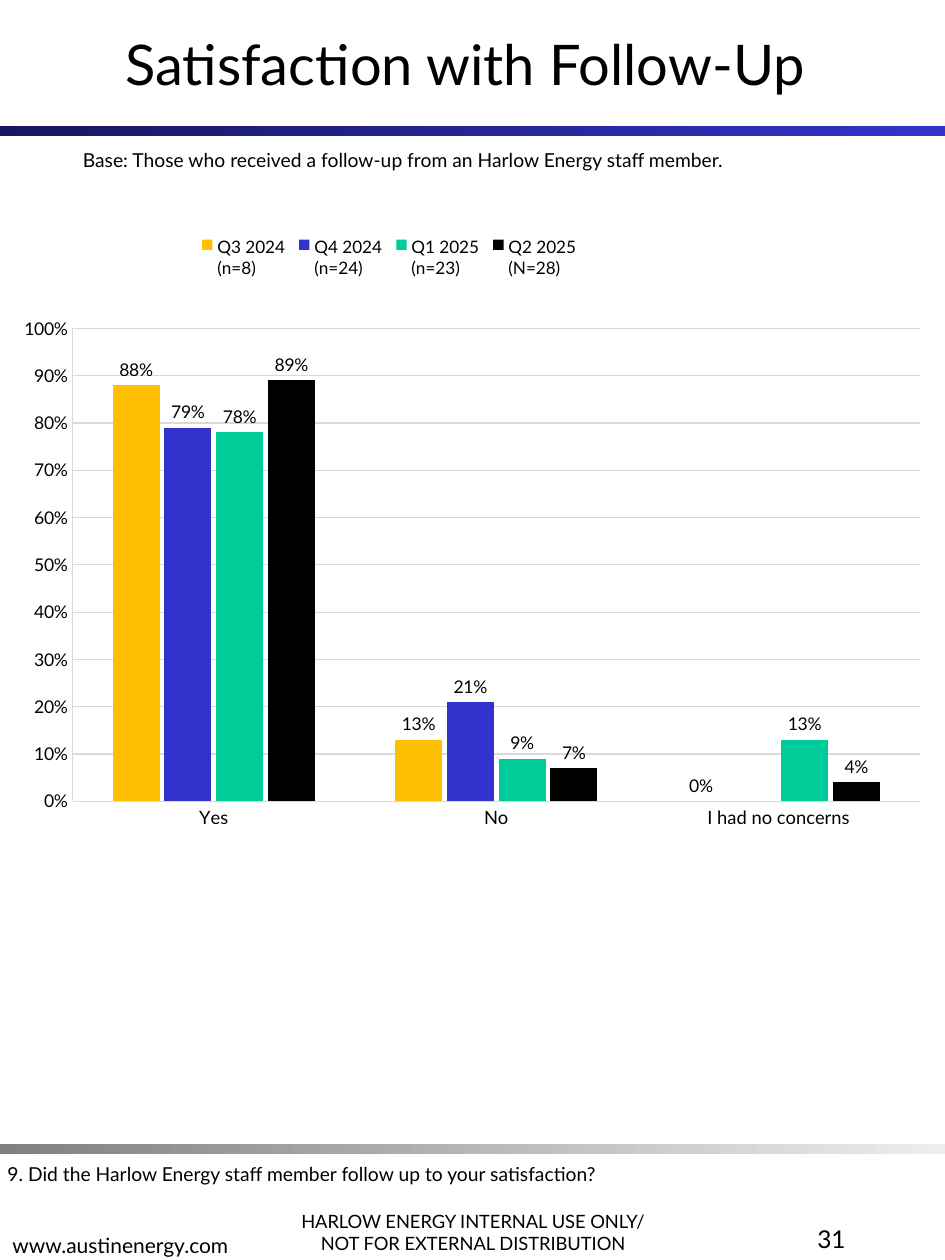
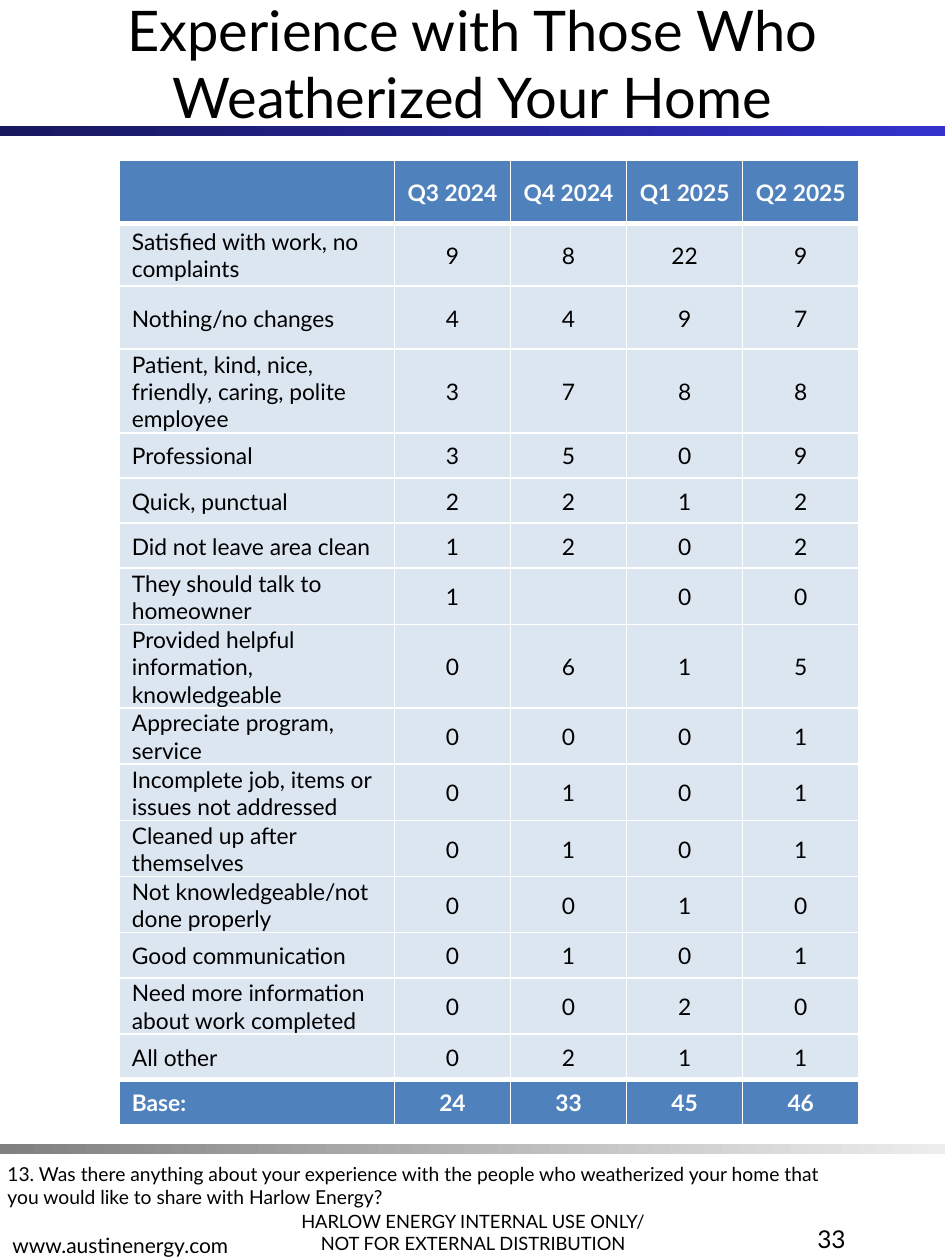
from dataclasses import dataclass

from lxml.etree import SubElement
from pptx import Presentation
from pptx.chart.data import CategoryChartData
from pptx.dml.color import RGBColor
from pptx.enum.chart import XL_CHART_TYPE, XL_LABEL_POSITION, XL_LEGEND_POSITION, XL_TICK_MARK
from pptx.enum.shapes import MSO_SHAPE
from pptx.enum.text import MSO_ANCHOR, PP_ALIGN
from pptx.oxml import parse_xml
from pptx.oxml.ns import nsdecls, qn
from pptx.presentation import Presentation as Deck
from pptx.slide import Slide
from pptx.table import _Cell as Cell
from pptx.util import Cm, Pt

FONT = "Lato"
COLORS = {
    "text": "000000",
    "white": "FFFFFF",
    "navy": "17175E",
    "blue": "3333CC",
    "dark_gray": "808080",
    "light_gray": "EDEDED",
    "grid": "D9D9D9",
    "header": "4F81BD",
    "row": "DCE6F1",
    "q3_2024": "FFC003",
    "q4_2024": "3233CC",
    "q1_2025": "00CC99",
    "q2_2025": "000000",
}


@dataclass(frozen=True)
class Band:
    top: float
    start: str
    end: str


@dataclass(frozen=True)
class TextSpot:
    """Place, in centimetres, and style of one kind of text."""
    left: float
    top: float
    width: float
    height: float
    size: float
    align: PP_ALIGN = PP_ALIGN.LEFT
    anchor: MSO_ANCHOR = MSO_ANCHOR.TOP


@dataclass(frozen=True)
class Quarter:
    name: str
    values: tuple
    color: str


BANDS = (Band(2.54, "navy", "blue"), Band(23.06, "dark_gray", "light_gray"))

TITLE = TextSpot(0, 0, 19.05, 2.54, 32, PP_ALIGN.CENTER, MSO_ANCHOR.MIDDLE)
NOTICE = TextSpot(5.49, 23.7, 8.1, 1.7, 10.5, PP_ALIGN.CENTER, MSO_ANCHOR.BOTTOM)
WEBSITE = TextSpot(0, 23.77, 8.1, 1.7, 12, anchor=MSO_ANCHOR.BOTTOM)
PAGE_NUMBER = TextSpot(13.34, 24.56, 3.96, 0.84, 14, PP_ALIGN.RIGHT)
QUESTION = TextSpot(-0.1, 23.3, 17.4, 0.74, 11)
BASE_NOTE = TextSpot(1.42, 2.87, 16.36, 0.74, 11)

ANSWERS = ("Yes", "No", "I had no concerns")
QUARTERS = (
    Quarter("Q3 2024\n(n=8)", (0.88, 0.13, 0), "q3_2024"),
    Quarter("Q4 2024\n(n=24)", (0.79, 0.21, None), "q4_2024"),
    Quarter("Q1 2025\n(n=23)", (0.78, 0.09, 0.13), "q1_2025"),
    Quarter("Q2 2025\n(N=28)", (0.89, 0.07, 0.04), "q2_2025"),
)

COMMENT_ROWS = (
    ("", "Q3 2024", "Q4 2024", "Q1 2025", "Q2 2025"),
    ("Satisfied with work, no complaints", 9, 8, 22, 9),
    ("Nothing/no changes", 4, 4, 9, 7),
    ("Patient, kind, nice, friendly, caring, polite employee", 3, 7, 8, 8),
    ("Professional", 3, 5, 0, 9),
    ("Quick, punctual", 2, 2, 1, 2),
    ("Did not leave area clean", 1, 2, 0, 2),
    ("They should talk to homeowner", 1, "", 0, 0),
    ("Provided helpful information, knowledgeable", 0, 6, 1, 5),
    ("Appreciate program, service", 0, 0, 0, 1),
    ("Incomplete job, items or issues not addressed", 0, 1, 0, 1),
    ("Cleaned up after themselves", 0, 1, 0, 1),
    ("Not knowledgeable/not done properly", 0, 0, 1, 0),
    ("Good communication", 0, 1, 0, 1),
    ("Need more information about work completed", 0, 0, 2, 0),
    ("All other", 0, 2, 1, 1),
    ("Base:", 24, 33, 45, 46),
)
COLUMN_WIDTHS = (5.54, 2.34, 2.34, 2.34, 2.34)
TALL_ROWS = 4


def rgb(color: str) -> RGBColor:
    return RGBColor.from_string(COLORS[color])


def style_font(font, size: float, color: str = "text", bold: bool = False) -> None:
    font.name = FONT
    font.size = Pt(size)
    font.bold = bold
    font.color.rgb = rgb(color)


def add_text(page: Slide, spot: TextSpot, *lines: str) -> None:
    box = page.shapes.add_textbox(Cm(spot.left), Cm(spot.top), Cm(spot.width), Cm(spot.height))
    frame = box.text_frame
    frame.word_wrap = True
    frame.vertical_anchor = spot.anchor
    frame.text = "\n".join(lines)
    for para in frame.paragraphs:
        para.alignment = spot.align
        style_font(para.font, spot.size)


def add_band(page: Slide, band: Band) -> None:
    shape = page.shapes.add_shape(MSO_SHAPE.RECTANGLE, 0, Cm(band.top), Cm(19.05), Cm(0.2))
    shape.shadow.inherit = False
    shape.line.fill.background()
    shape.fill.gradient()
    shape.fill.gradient_angle = 0
    for stop, color in zip(shape.fill.gradient_stops, (band.start, band.end)):
        stop.color.rgb = rgb(color)


def add_page(deck: Deck, title: str, number: int, question: str) -> Slide:
    """Add a slide with the bands, title and footer that all slides share."""
    page = deck.slides.add_slide(deck.slide_layouts[6])
    for band in BANDS:
        add_band(page, band)
    add_text(page, NOTICE, "HARLOW ENERGY INTERNAL USE ONLY/", "NOT FOR EXTERNAL DISTRIBUTION")
    add_text(page, WEBSITE, "www.austinenergy.com")
    add_text(page, TITLE, title)
    add_text(page, PAGE_NUMBER, str(number))
    add_text(page, QUESTION, question)
    return page


def manual_layout(x: float, y: float, width: float, height: float, inner: bool = False):
    target = '<c:layoutTarget val="inner"/>' if inner else ""
    return parse_xml(
        f'<c:layout {nsdecls("c")}><c:manualLayout>{target}'
        '<c:xMode val="edge"/><c:yMode val="edge"/>'
        f'<c:x val="{x}"/><c:y val="{y}"/><c:w val="{width}"/><c:h val="{height}"/>'
        "</c:manualLayout></c:layout>"
    )


def replace_layout(parent, layout, position: int) -> None:
    for old in parent.findall(qn("c:layout")):
        parent.remove(old)
    parent.insert(position, layout)


def style_axis(axis, size: float, line_width: float) -> None:
    axis.major_tick_mark = axis.minor_tick_mark = XL_TICK_MARK.NONE
    style_font(axis.tick_labels.font, size)
    axis.format.line.color.rgb = rgb("grid")
    axis.format.line.width = Pt(line_width)


def add_satisfaction_chart(page: Slide) -> None:
    data = CategoryChartData(number_format="0%")
    data.categories = ANSWERS
    for quarter in QUARTERS:
        data.add_series(quarter.name, quarter.values)
    chart = page.shapes.add_chart(
        XL_CHART_TYPE.COLUMN_CLUSTERED, Cm(0.15), Cm(4.01), Cm(18.77), Cm(13.06), data
    ).chart
    chart.has_title = False
    style_font(chart.font, 10)

    style_axis(chart.category_axis, 10.5, 0.62)
    value_axis = chart.value_axis
    style_axis(value_axis, 10, 0.41)
    value_axis.minimum_scale, value_axis.maximum_scale = 0, 1
    value_axis.major_unit = 0.1
    value_axis.tick_labels.number_format = "0%"
    value_axis.tick_labels.number_format_is_linked = False
    gridlines = value_axis.major_gridlines.format.line
    gridlines.color.rgb = rgb("grid")
    gridlines.width = Pt(0.62)

    plot = chart.plots[0]
    plot.gap_width, plot.overlap = 170, -10
    plot.vary_by_categories = False
    for series, quarter in zip(plot.series, QUARTERS):
        series.format.fill.solid()
        series.format.fill.fore_color.rgb = rgb(quarter.color)
        labels = series.data_labels
        labels.show_value = True
        labels.position = XL_LABEL_POSITION.OUTSIDE_END
        labels.number_format = "0%"
        labels.number_format_is_linked = False
        style_font(labels.font, 10)

    chart.has_legend = True
    legend = chart.legend
    legend.position = XL_LEGEND_POSITION.TOP
    legend.include_in_layout = False
    style_font(legend.font, 9.8)
    replace_layout(legend._element, manual_layout(0.2, 0.05, 0.42, 0.08), 1)
    plot_area = chart._chartSpace.chart.plotArea
    replace_layout(plot_area, manual_layout(0.07, 0.2, 0.91, 0.73, inner=True), 0)


def add_borders(cell: Cell, top: float, bottom: float) -> None:
    properties = cell._tc.get_or_add_tcPr()
    for side, width in (("L", 1), ("R", 1), ("T", top), ("B", bottom)):
        line = SubElement(properties, qn(f"a:ln{side}"), w=str(Pt(width)))
        fill = SubElement(line, qn("a:solidFill"))
        SubElement(fill, qn("a:srgbClr"), val=COLORS["white"])


def add_comment_table(page: Slide) -> None:
    last = len(COMMENT_ROWS) - 1
    heights = [1.27 if index < TALL_ROWS else 0.91 for index in range(last + 1)]
    table = page.shapes.add_table(
        len(COMMENT_ROWS), len(COLUMN_WIDTHS),
        Cm(2.41), Cm(3.23), Cm(sum(COLUMN_WIDTHS)), Cm(sum(heights)),
    ).table
    table.horz_banding = False
    for column, width in zip(table.columns, COLUMN_WIDTHS):
        column.width = Cm(width)
    for row_index, values in enumerate(COMMENT_ROWS):
        table.rows[row_index].height = Cm(heights[row_index])
        strong = row_index in (0, last)
        top = 3 if row_index in (1, last) else 1
        bottom = 3 if row_index in (0, last - 1) else 1
        for column_index, value in enumerate(values):
            cell = table.cell(row_index, column_index)
            add_borders(cell, top, bottom)
            cell.fill.solid()
            cell.fill.fore_color.rgb = rgb("header" if strong else "row")
            cell.vertical_anchor = MSO_ANCHOR.MIDDLE
            cell.margin_left = Cm(0.03 if column_index else 0.25)
            cell.margin_right = cell.margin_top = Cm(0.03)
            cell.margin_bottom = 0
            cell.text = str(value)
            para = cell.text_frame.paragraphs[0]
            para.alignment = PP_ALIGN.CENTER if column_index else PP_ALIGN.LEFT
            style_font(para.font, 13, "white" if strong else "text", strong)


def main() -> None:
    deck = Presentation()
    deck.slide_width, deck.slide_height = Cm(19.05), Cm(25.4)

    page = add_page(
        deck, "Satisfaction with Follow-Up ", 31,
        "9. Did the Harlow Energy staff member follow up to your satisfaction?",
    )
    add_satisfaction_chart(page)
    add_text(page, BASE_NOTE,
             "Base: Those who received a follow-up from an Harlow Energy staff member.")

    page = add_page(
        deck, "Experience with Those Who Weatherized Your Home", 33,
        "13. Was there anything about your experience with the people who weatherized "
        "your home that you would like to share with Harlow Energy?",
    )
    add_comment_table(page)
    deck.save("out.pptx")


if __name__ == "__main__":
    main()
